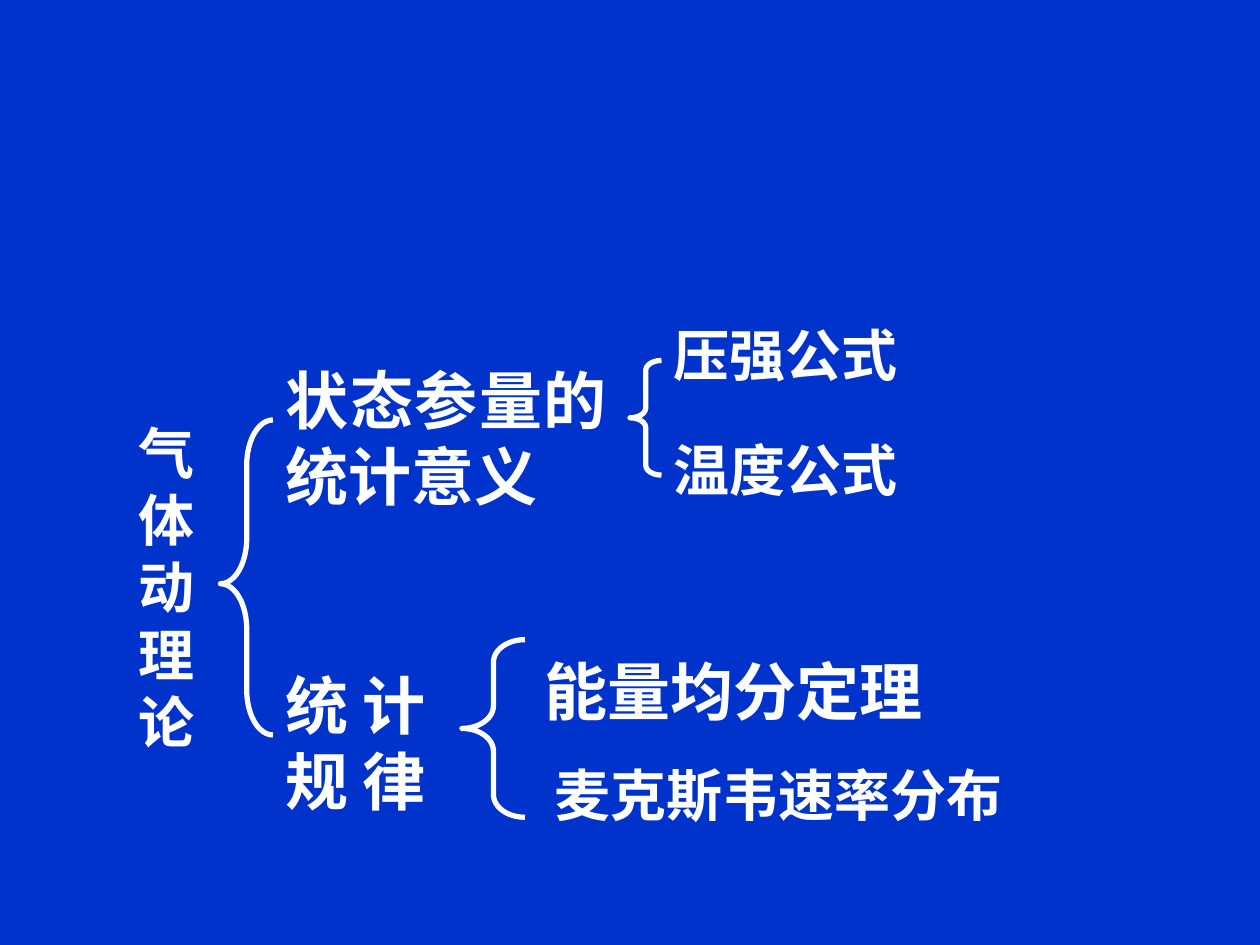
from dataclasses import dataclass

from pptx import Presentation
from pptx import util as u
from pptx.dml.color import RGBColor
from pptx.enum import shapes, text
from pptx.oxml.ns import qn
from lxml import etree


@dataclass(frozen=True)
class Theme:
    background: RGBColor = RGBColor(0x00, 0x33, 0xCC)
    ink: RGBColor = RGBColor(0xFF, 0xFF, 0xFF)
    latin: str = "Times New Roman"
    asian: str = "Noto Sans CJK SC"
    large: float = 36
    medium: float = 32
    leading: float = 1.2
    brace_width: float = 3


THEME = Theme()


@dataclass(frozen=True)
class Label:
    words: str
    left: float
    top: float
    width: float
    height: float
    size: float = THEME.medium
    font: str = THEME.latin
    first_line_tracking: float = 0


@dataclass(frozen=True)
class Brace:
    left: float
    top: float
    width: float
    height: float
    curl: float
    point: float = 0.5


LABELS = [
    Label("压强公式", 378, 176.4, 192, 46),
    Label("温度公式", 378, 242, 192, 46),
    Label("气体动理论", 72, 232.5, 54, 392, font=THEME.asian),
    Label("状态参量的 统计意义", 156, 200, 198, 93.6, THEME.large),
    Label("统计\v规 律", 156, 374.4, 102, 93.6, THEME.large,
          first_line_tracking=4.5),
    Label("能量均分定理", 304, 366, 366, 50.4, THEME.large),
    Label("麦克斯韦速率分布", 309.6, 427.7, 288, 84),
]

BRACES = [
    Brace(360, 206, 18, 65.5, 0.31),
    Brace(126, 240, 30, 180, 0.86, 0.52),
    Brace(264, 365.5, 36, 101.5, 0.36),
]


def add_run(p, words: str, *, size: float, font: str, tracking: float = 0) -> None:
    r = p.add_run()
    r.text = words
    r.font.size = u.Pt(size)
    r.font.bold = True
    r.font.color.rgb = THEME.ink
    r.font.name = font
    props = r.font._element
    if tracking:
        props.set("spc", str(round(tracking * 100)))
    latin = props.find(qn("a:latin"))
    asian = etree.Element(qn("a:ea"), typeface=THEME.asian)
    latin.addnext(asian)


def add_label(s, label: Label) -> None:
    box = s.shapes.add_textbox(*map(u.Pt, (label.left, label.top,
                                           label.width, label.height)))
    tf = box.text_frame
    tf.word_wrap = True
    tf.margin_left = tf.margin_right = u.Pt(7.2)
    tf.margin_top, tf.margin_bottom = u.Pt(6.6), u.Pt(3.6)
    p = tf.paragraphs[0]
    p.alignment = text.PP_ALIGN.JUSTIFY
    p.line_spacing = u.Pt(label.size * THEME.leading)
    for i, line in enumerate(label.words.split("\v")):
        if i:
            p.add_line_break()
        add_run(p, line, size=label.size, font=label.font,
                tracking=0 if i else label.first_line_tracking)


def add_brace(s, brace: Brace) -> None:
    sp = s.shapes.add_shape(shapes.MSO_SHAPE.LEFT_BRACE,
                            *map(u.Pt, (brace.left, brace.top,
                                        brace.width, brace.height)))
    sp.adjustments[0] = brace.curl
    sp.adjustments[1] = brace.point
    sp.shadow.inherit = False
    sp.fill.background()
    sp.line.color.rgb = THEME.ink
    sp.line.width = u.Pt(THEME.brace_width)


def main() -> None:
    prs = Presentation()
    prs.slide_width, prs.slide_height = u.Pt(720), u.Pt(540)
    s = prs.slides.add_slide(prs.slide_layouts[6])
    s.background.fill.solid()
    s.background.fill.fore_color.rgb = THEME.background
    for brace in BRACES:
        add_brace(s, brace)
    for label in LABELS:
        add_label(s, label)
    prs.save("out.pptx")


if __name__ == "__main__":
    main()
